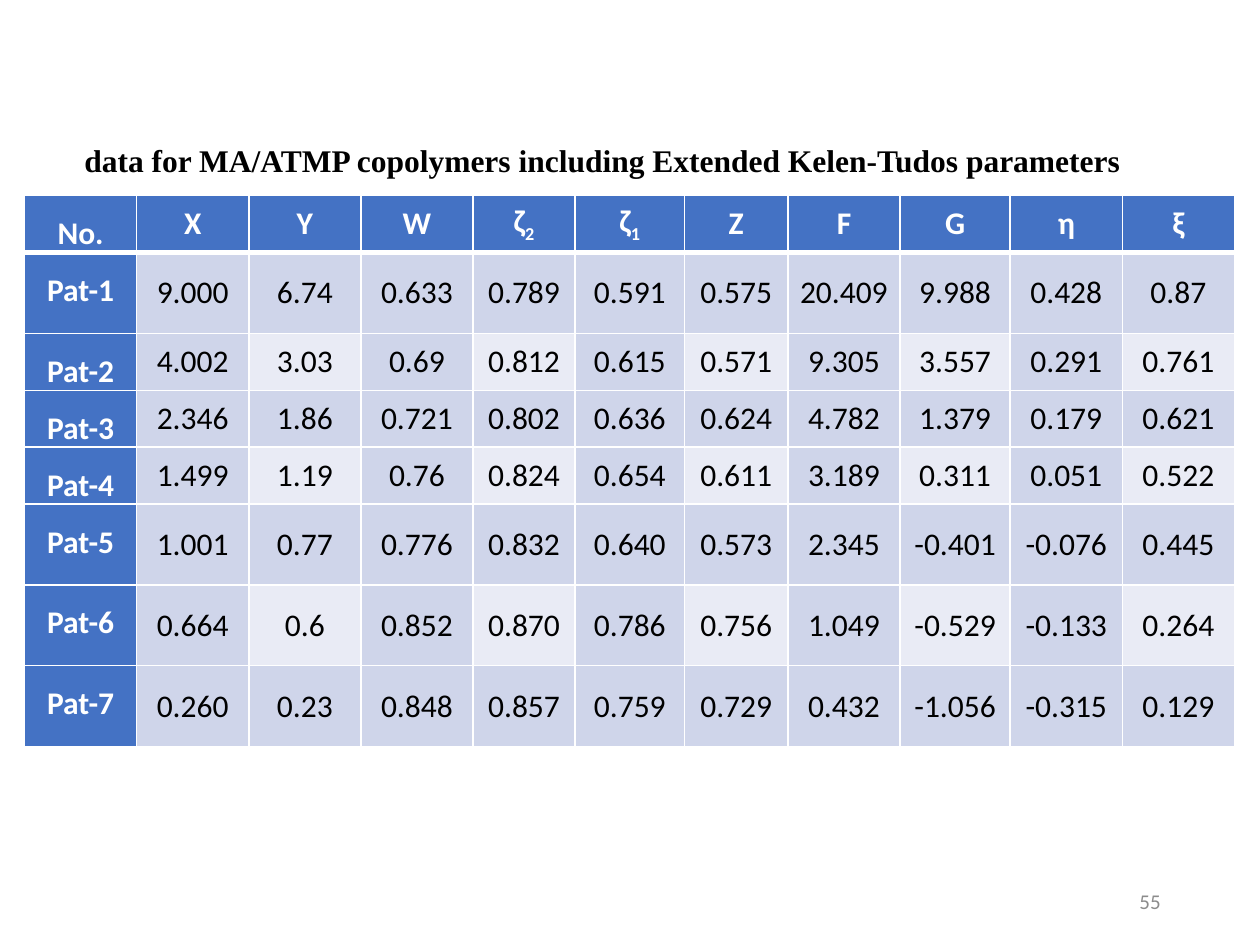
"""Build the slide tabulating Extended Kelen-Tudos parameters for MA/ATMP copolymers."""
from dataclasses import dataclass

from lxml import etree
from pptx import Presentation
from pptx import util as u
from pptx.dml.color import RGBColor
from pptx.enum import text
from pptx.oxml import ns

WIDTH, HEIGHT = u.Inches(10), u.Inches(7.5)


@dataclass(frozen=True)
class Theme:
    """Colours, fonts and type sizes of the slide."""
    accent: str = "4472C4"
    band: str = "CFD5EA"
    light_band: str = "E9EBF5"
    white: str = "FFFFFF"
    ink: str = "000000"
    muted: str = "8C8C8C"
    table_font: str = "Calibri"
    caption_font: str = "Times New Roman"
    main_size: int = 18
    number_size: int = 12


THEME = Theme()
CAPTION = "data for MA/ATMP copolymers including Extended Kelen-Tudos parameters"
HEADINGS = ["No.", "X", "Y", "W", "ζ2", "ζ1", "Z", "F", "G", "η", "ξ"]
SAMPLES = [
    "9.000 6.74 0.633 0.789 0.591 0.575 20.409 9.988 0.428 0.87",
    "4.002 3.03 0.69 0.812 0.615 0.571 9.305 3.557 0.291 0.761",
    "2.346 1.86 0.721 0.802 0.636 0.624 4.782 1.379 0.179 0.621",
    "1.499 1.19 0.76 0.824 0.654 0.611 3.189 0.311 0.051 0.522",
    "1.001 0.77 0.776 0.832 0.640 0.573 2.345 -0.401 -0.076 0.445",
    "0.664 0.6 0.852 0.870 0.786 0.756 1.049 -0.529 -0.133 0.264",
    "0.260 0.23 0.848 0.857 0.759 0.729 0.432 -1.056 -0.315 0.129",
]
COLUMN_SHARES = [8.9, 8.9, 8.9, 8.9, 8.1, 8.7, 8.2, 8.9, 8.75, 8.9, 8.9]
SHORT, TALL = 5.98, 8.57
ROW_SHARES = [6.1, TALL, SHORT, SHORT, SHORT, TALL, TALL, TALL]


def across(percent):
    """Return a share of the slide's width."""
    return int(WIDTH * percent / 100)


def down(percent):
    """Return a share of the slide's height."""
    return int(HEIGHT * percent / 100)


def style_run(run, font, size, color, bold=False):
    """Format one run."""
    run.font.name = font
    run.font.size = u.Pt(size)
    run.font.bold = bold
    run.font.color.rgb = RGBColor.from_string(color)


def add_caption(slide):
    """Place the caption in the title placeholder above the table."""
    caption = slide.shapes.title
    caption.left, caption.top = across(5.7), down(14.27)
    caption.width, caption.height = across(94.3), down(5.33)
    frame = caption.text_frame
    frame.text = CAPTION
    frame.auto_size = text.MSO_AUTO_SIZE.NONE
    frame.vertical_anchor = text.MSO_ANCHOR.TOP
    paragraph = frame.paragraphs[0]
    paragraph.alignment = text.PP_ALIGN.LEFT
    style_run(paragraph.runs[0], THEME.caption_font, THEME.main_size, THEME.ink, True)


def add_page_number(slide, number):
    """Write the page number at the lower right."""
    box = slide.shapes.add_textbox(across(70.6), down(92.67), across(22.5), down(5.33))
    frame = box.text_frame
    frame.word_wrap = True
    frame.vertical_anchor = text.MSO_ANCHOR.MIDDLE
    frame.text = number
    paragraph = frame.paragraphs[0]
    paragraph.alignment = text.PP_ALIGN.RIGHT
    style_run(paragraph.runs[0], THEME.table_font, THEME.number_size, THEME.muted)


def rule_cell(cell, widths):
    """Draw white borders of the given left, right, top and bottom widths."""
    properties = cell._tc.get_or_add_tcPr()
    for side, width in zip("LRTB", widths):
        line = etree.SubElement(properties, ns.qn(f"a:ln{side}"), w=str(u.Pt(width)))
        fill = etree.SubElement(line, ns.qn("a:solidFill"))
        etree.SubElement(fill, ns.qn("a:srgbClr"), val=THEME.white)


def cell_fill(row, column):
    """Choose the fill from the header, label and banding rules."""
    if row == 0 or column == 0:
        return THEME.accent
    return THEME.light_band if row % 2 == 0 and column % 2 == 0 else THEME.band


def write_cell(cell, content, row, column):
    """Write and format one table cell."""
    emphasised = row == 0 or column == 0
    cell.margin_left = cell.margin_right = u.Inches(0.07)
    cell.margin_top = cell.margin_bottom = 0
    cell.vertical_anchor = text.MSO_ANCHOR.MIDDLE if column else text.MSO_ANCHOR.TOP
    paragraph = cell.text_frame.paragraphs[0]
    paragraph.alignment = text.PP_ALIGN.CENTER
    if column == 0:
        paragraph.line_spacing = 1.5
    parts = list(content) if content.startswith("ζ") else [content]
    for index, part in enumerate(parts):
        run = paragraph.add_run()
        run.text = part
        style_run(run, THEME.table_font, THEME.main_size,
                  THEME.white if emphasised else THEME.ink, emphasised)
        if index:
            run._r.get_or_add_rPr().set("baseline", "-25000")
    rule_cell(cell, (1, 1, 3 if row == 1 else 1, 3 if row == 0 else 1))
    cell.fill.solid()
    cell.fill.fore_color.rgb = RGBColor.from_string(cell_fill(row, column))


def add_parameter_table(slide):
    """Add the table of copolymer samples and their parameters."""
    records = [HEADINGS] + [
        [f"Pat-{number}", *values.split()] for number, values in enumerate(SAMPLES, 1)]
    table = slide.shapes.add_table(
        len(records), len(HEADINGS), across(1.95), down(20.63),
        across(sum(COLUMN_SHARES)), down(sum(ROW_SHARES))).table
    table.first_row = table.horz_banding = False
    for column, share in zip(table.columns, COLUMN_SHARES):
        column.width = across(share)
    for row, share in zip(table.rows, ROW_SHARES):
        row.height = down(share)
    for row, record in enumerate(records):
        for column, content in enumerate(record):
            write_cell(table.cell(row, column), content, row, column)


def main():
    """Create and save the presentation."""
    deck = Presentation()
    deck.slide_width, deck.slide_height = WIDTH, HEIGHT
    slide = deck.slides.add_slide(deck.slide_layouts.get_by_name("Title Only"))
    add_page_number(slide, "55")
    add_parameter_table(slide)
    add_caption(slide)
    deck.save("out.pptx")


if __name__ == "__main__":
    main()
